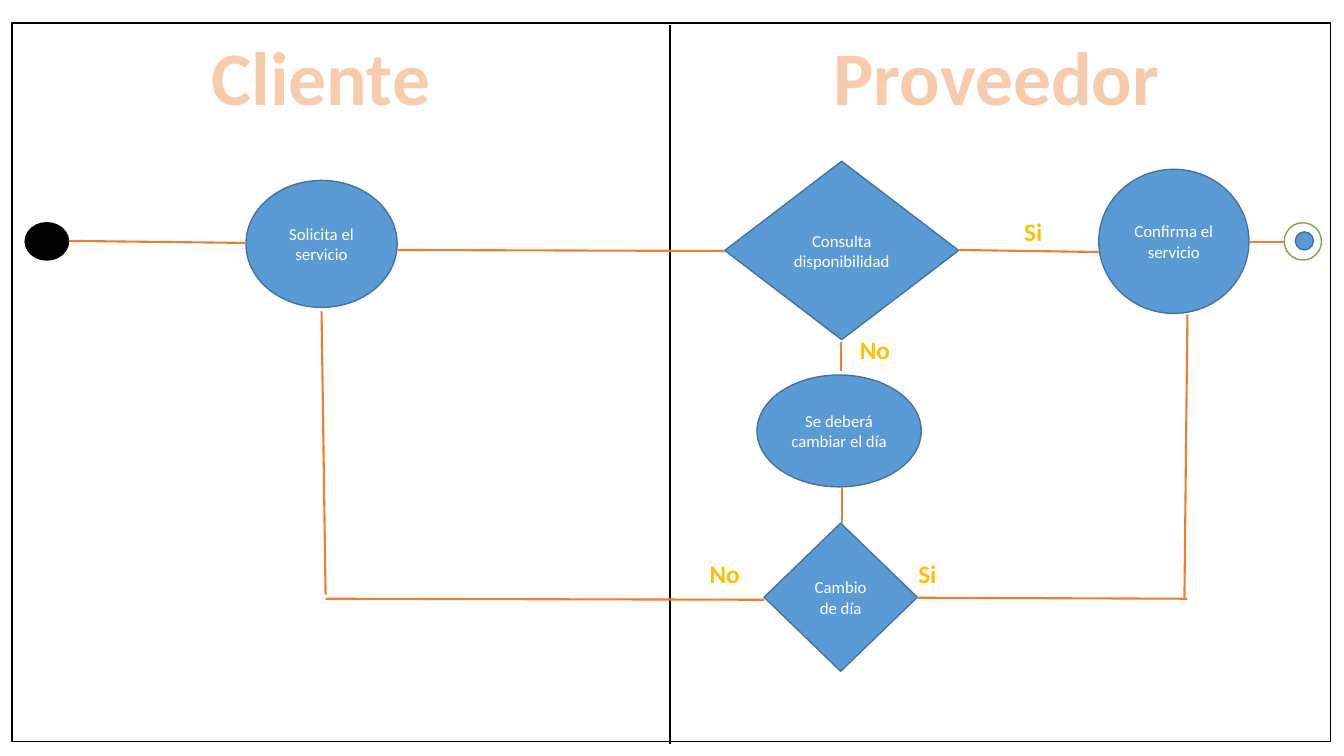
from lxml.etree import SubElement
from pptx import Presentation
from pptx.dml.color import RGBColor
from pptx.enum.shapes import MSO_CONNECTOR, MSO_SHAPE
from pptx.enum.text import MSO_ANCHOR, MSO_AUTO_SIZE, PP_ALIGN
from pptx.oxml.ns import qn
from pptx.util import Inches, Pt

COLORS = {
    "black": "000000", "white": "FFFFFF", "blue": "5B9BD5", "navy": "43739E",
    "orange": "ED7D31", "peach": "F8CBAD", "gold": "FFC000", "green": "70AD47",
}
FONT = "Calibri"
CELL = Inches(0.1)  # the page is a grid of 133.3 columns by 75 rows


def cells(*counts):
    return [round(count * CELL) for count in counts]


def color(name):
    return RGBColor.from_string(COLORS[name])


def format_text(box, text, size, ink, bold=False):
    paragraph = box.text_frame.paragraphs[0]
    paragraph.add_run().text = text
    paragraph.alignment = PP_ALIGN.CENTER
    font = paragraph.font
    font.name, font.size, font.bold = FONT, Pt(size), bold
    font.color.rgb = color(ink)
    return paragraph


def add_node(page, kind, area, fill="blue", border="navy", text=""):
    """Draw a shape on area (column, row, columns, rows)."""
    node = page.shapes.add_shape(kind, *cells(*area))
    node.shadow.inherit = False
    node.fill.solid()
    node.fill.fore_color.rgb = color(fill)
    node.line.color.rgb = color(border)
    node.line.width = Pt(1)
    if text:
        node.text_frame.word_wrap = True
        node.text_frame.vertical_anchor = MSO_ANCHOR.MIDDLE
        format_text(node, text, 12, "white")


def add_line(page, start, end, ink="orange"):
    line = page.shapes.add_connector(MSO_CONNECTOR.STRAIGHT, *cells(*start, *end))
    line.line.color.rgb = color(ink)
    line.line.width = Pt(1.5)
    SubElement(line._element.spPr, qn("a:effectLst"))


def add_text(page, text, area, size, ink):
    box = page.shapes.add_textbox(*cells(*area))
    box.text_frame.word_wrap = False
    box.text_frame.auto_size = MSO_AUTO_SIZE.SHAPE_TO_FIT_TEXT
    return format_text(box, text, size, ink, bold=True)


def add_heading(page, text, area):
    """Write a lane heading whose letters have an orange outline."""
    span = add_text(page, text, area, 54, "peach").runs[0]
    span.font.color.rgb = color("peach")
    properties = span._r.get_or_add_rPr()
    outline = SubElement(properties, qn("a:ln"), w=str(Pt(1.75)))
    fill = SubElement(outline, qn("a:solidFill"))
    SubElement(fill, qn("a:srgbClr"), val=COLORS["orange"])
    properties.insert(0, outline)


def add_lanes(page):
    add_node(page, MSO_SHAPE.RECTANGLE, (1.2, 2.3, 130.8, 71.3), "white", "black")
    add_line(page, (66.5, 2.5), (66.5, 73.8), "black")
    add_heading(page, "Cliente", (18.8, 2.5, 26.1, 10.1))
    add_heading(page, "Proveedor", (81.5, 2.5, 34.7, 10.1))


def add_steps(page):
    for kind, area, text in (
        (MSO_SHAPE.OVAL, (24.4, 17.9, 15, 12.6), "Solicita el servicio"),
        (MSO_SHAPE.DIAMOND, (71.9, 16, 23.2, 17.7), "Consulta disponibilidad"),
        (MSO_SHAPE.OVAL, (109, 16.8, 14.9, 14.3), "Confirma el servicio"),
        (MSO_SHAPE.OVAL, (75.1, 37.2, 16.3, 11.1), "Se deberá cambiar el día"),
        (MSO_SHAPE.DIAMOND, (75.8, 51.9, 15.2, 14.7), "Cambio de día"),
    ):
        add_node(page, kind, area, text=text)


def add_terminals(page):
    dot = MSO_SHAPE.FLOWCHART_CONNECTOR
    add_node(page, dot, (2.5, 22.1, 4.3, 3.7), "black", "black")
    add_node(page, dot, (127.4, 22.1, 3.7, 3.7), "white", "green")
    add_node(page, dot, (128.5, 23, 1.8, 1.8))


def add_flow(page):
    for start, end in (
        ((6.8, 23.9), (24.4, 24.1)),
        ((39.5, 24.8), (71.9, 24.9)),
        ((95.1, 24.8), (109, 25)),
        ((123.9, 24), (127.4, 24)),
        ((83.4, 33.9), (83.4, 36.8)),
        ((83.5, 48.3), (83.5, 51.9)),
        ((32.3, 59.4), (75.8, 59.5)),
        ((31.9, 30.9), (32.3, 59)),
        ((91, 59.3), (117.8, 59.4)),
        ((117.5, 59.4), (117.8, 31.2)),
    ):
        add_line(page, start, end)


def add_answers(page):
    widths = {"Si": 3.8, "No": 5}
    for text, column, row in (
        ("Si", 100.6, 21), ("No", 69.4, 54.9),
        ("Si", 90.1, 54.9), ("No", 84.3, 32.7),
    ):
        add_text(page, text, (column, row, widths[text], 4), 18, "gold")


def main():
    deck = Presentation()
    deck.slide_width, deck.slide_height = cells(133.33, 75)
    page = deck.slides.add_slide(deck.slide_layouts[6])
    add_lanes(page)
    add_steps(page)
    add_terminals(page)
    add_flow(page)
    add_answers(page)
    deck.save("out.pptx")


if __name__ == "__main__":
    main()
